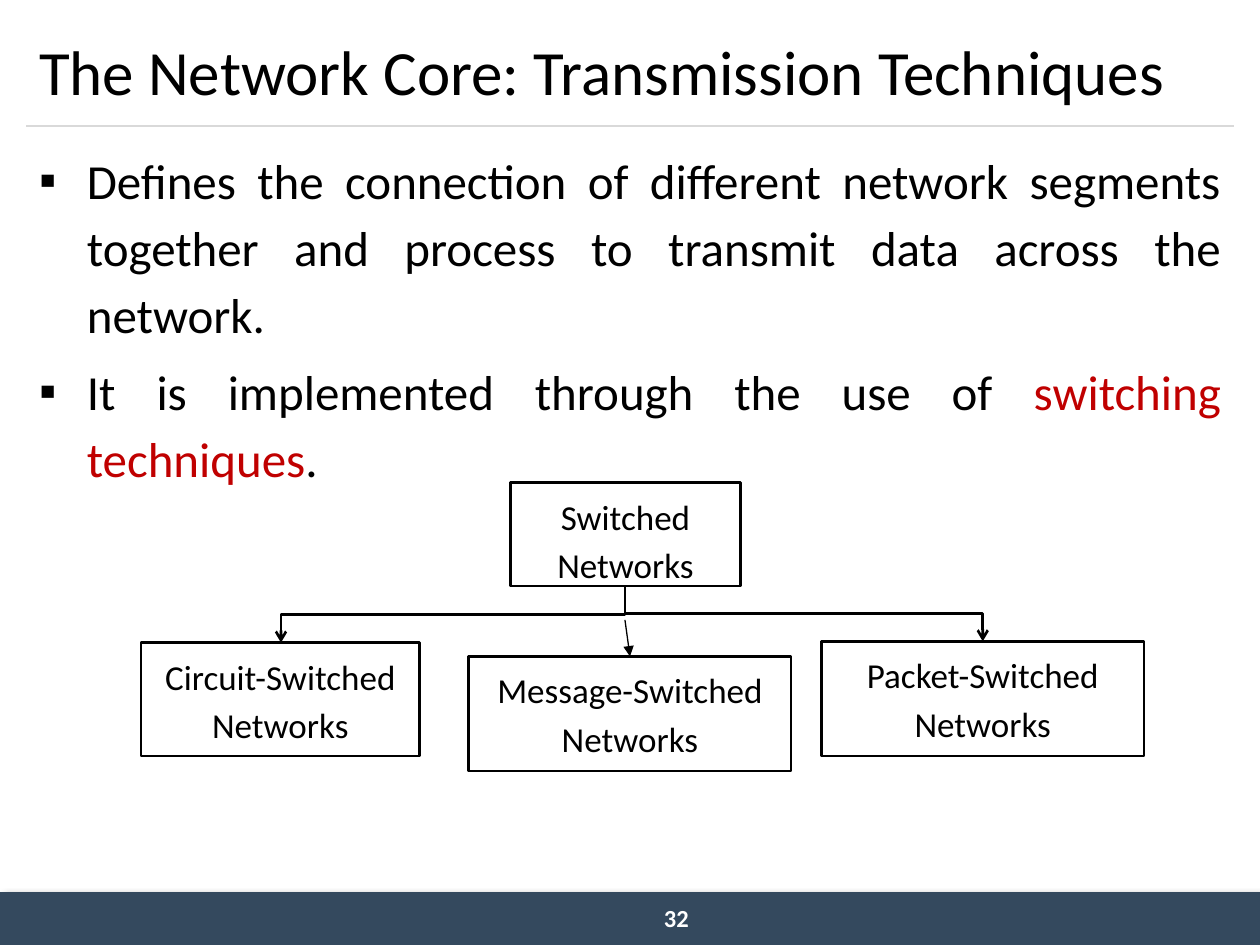
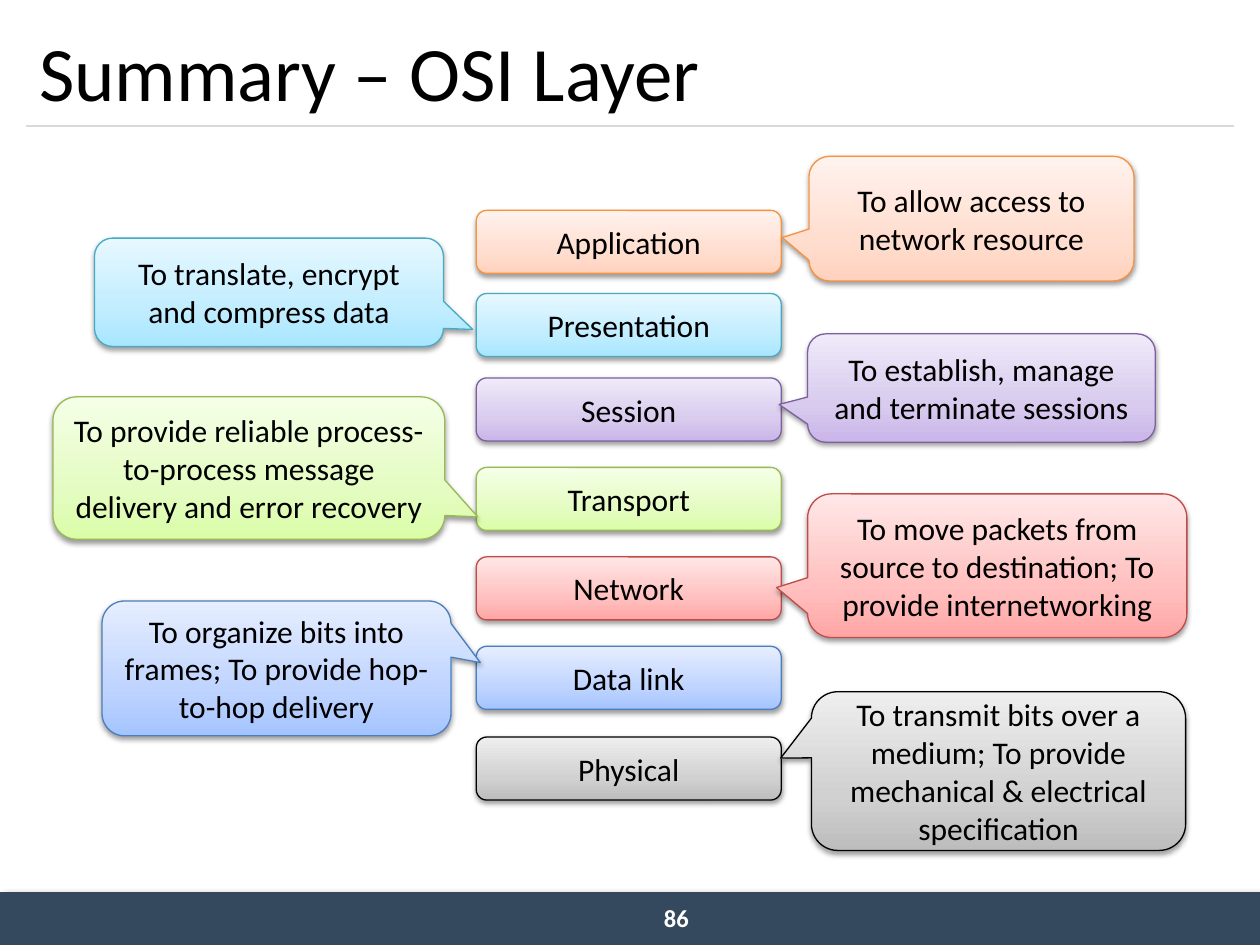
"""Build two lecture slides on switched networks and the OSI layers."""
from copy import deepcopy

from lxml import etree
from pptx import Presentation
from pptx.dml import color as dml
from pptx.enum import shapes, text
from pptx.oxml import ns
from pptx.util import Inches, Pt

COLORS = {
    "ink": "000000", "paper": "FFFFFF", "band": "34495E",
    "rule": "D9D9D9", "accent": "C00000",
}
BAND_SHADOW = dict(alpha=40, blur=4, dist=3, angle=45)
SOFT_SHADOW = dict(alpha=38, blur=3.1, dist=1.6, angle=90)
rgb = dml.RGBColor.from_string
Shape, Align, Anchor = shapes.MSO_SHAPE, text.PP_ALIGN, text.MSO_ANCHOR
Connector = shapes.MSO_CONNECTOR


def write(shape, content, size, color="ink", bold=False, align=Align.LEFT,
          anchor=Anchor.TOP, spacing=None, accent=None, bullet=None, gap=0):
    """Fill a shape with one paragraph per line, colouring the accent phrase."""
    frame = shape.text_frame
    frame.word_wrap = True
    frame.auto_size = text.MSO_AUTO_SIZE.NONE
    frame.vertical_anchor = anchor
    for index, line in enumerate(content.split("\n")):
        paragraph = frame.add_paragraph() if index else frame.paragraphs[0]
        if bullet:
            props = paragraph._p.get_or_add_pPr()
            props.set("marL", str(Inches(0.38)))
            props.set("indent", str(-Inches(0.38)))
            etree.SubElement(props, ns.qn("a:buFont"), typeface="Arial")
            etree.SubElement(props, ns.qn("a:buChar"), char=bullet)
        paragraph.alignment = align
        paragraph.line_spacing = spacing
        paragraph.space_before = Pt(gap if index else 0)
        parts = line.partition(accent) if accent else [line]
        for part in filter(None, parts):
            run = paragraph.add_run()
            run.text = part
            run.font.name, run.font.size, run.font.bold = "Calibri", Pt(size), bold
            run.font.color.rgb = rgb(COLORS["accent" if part == accent else color])


def draw(slide, preset, at, fill, line=None, width=0.75, shadow=None):
    """Add a preset shape with a solid or three-stop gradient fill."""
    shape = slide.shapes.add_shape(preset, *map(Inches, at))
    if isinstance(fill, str):
        shape.fill.solid()
        shape.fill.fore_color.rgb = rgb(fill)
    else:
        shape.fill.gradient()
        shape.fill.gradient_angle = 90
        stops = shape._element.spPr.find(".//" + ns.qn("a:gsLst"))
        stops.insert(1, deepcopy(stops[0]))
        for stop, position, shade in zip(shape.fill.gradient_stops, (0, 0.35, 1), fill):
            stop.position = position
            stop.color.rgb = rgb(shade)
    if line:
        shape.line.color.rgb = rgb(line)
        shape.line.width = Pt(width)
    else:
        shape.line.fill.background()
    shape.shadow.inherit = False
    if shadow:
        effects = shape._element.spPr.find(ns.qn("a:effectLst"))
        outer = etree.SubElement(
            effects, ns.qn("a:outerShdw"), blurRad=str(Pt(shadow["blur"])),
            dist=str(Pt(shadow["dist"])), dir=str(shadow["angle"] * 60000),
            algn="ctr", rotWithShape="0")
        tint = etree.SubElement(outer, ns.qn("a:srgbClr"), val=COLORS["ink"])
        etree.SubElement(tint, ns.qn("a:alpha"), val=str(shadow["alpha"] * 1000))
    return shape


deck = Presentation()
deck.slide_width, deck.slide_height = Inches(10), Inches(7.5)

pages = []
for layout, heading, size, number in [
    (1, "The Network Core: Transmission Techniques", 36, "32"),
    (5, "Summary – OSI Layer", 44, "86"),
]:
    page = deck.slides.add_slide(deck.slide_layouts[layout])
    pages.append(page)
    draw(page, Shape.RECTANGLE, (0, 7.08, 10, 0.42), COLORS["band"], shadow=BAND_SHADOW)
    rule = page.shapes.add_connector(
        Connector.STRAIGHT, *map(Inches, (0.21, 1, 9.79, 1)))
    rule.line.color.rgb = rgb(COLORS["rule"])
    rule.line.width = Pt(0.75)
    etree.SubElement(rule._element.spPr, ns.qn("a:effectLst"))
    page_number = page.shapes.add_textbox(*map(Inches, (5.17, 7.12, 0.58, 0.34)))
    write(page_number, number, 14, color="paper", bold=True)
    title = page.shapes.title
    title.left, title.top, title.width, title.height = map(Inches, (0.21, 0.12, 9.58, 0.88))
    write(title, heading, size, anchor=Anchor.MIDDLE)

switching, osi = pages

definition = switching.placeholders[1]
definition.left, definition.top, definition.width, definition.height = map(
    Inches, (0.21, 1.08, 9.58, 5.83))
write(definition,
      "Defines the connection of different network segments together and process "
      "to transmit data across the network.\n"
      "It is implemented through the use of switching techniques.",
      28, align=Align.JUSTIFY, spacing=1.14, accent="switching techniques",
      bullet="▪", gap=5.6)

for kind, at in [
    ("Switched", (4.05, 3.83, 1.83, 0.82)),
    ("Packet-Switched", (6.52, 5.09, 2.56, 0.91)),
    ("Circuit-Switched", (1.12, 5.1, 2.21, 0.9)),
    ("Message-Switched", (3.72, 5.21, 2.56, 0.91)),
]:
    network = draw(switching, Shape.RECTANGLE, at, COLORS["paper"], COLORS["ink"], 1.5)
    write(network, kind + "\nNetworks", 20, align=Align.CENTER, spacing=1.15)

for x1, y1, x2, y2, side, width, head in [
    (4.96, 4.65, 7.8, 5.09, 1, 1.5, "arrow"),
    (4.96, 4.65, 2.23, 5.1, -1, 1.5, "arrow"),
    (4.96, 4.92, 5, 5.21, 0, 0.75, "triangle"),
]:
    route, ends = Connector.STRAIGHT, (x1, y1, x2, y2)
    if side:
        route = Connector.ELBOW
        mid_x, mid_y = (x1 + x2) / 2, (y1 + y2) / 2
        reach, drop = abs(x2 - x1) / 2, side * (y2 - y1) / 2
        ends = (mid_x + drop, mid_y - reach, mid_x - drop, mid_y + reach)
    branch = switching.shapes.add_connector(route, *map(Inches, ends))
    branch.line.color.rgb = rgb(COLORS["ink"])
    branch.line.width = Pt(width)
    etree.SubElement(branch.line._get_or_add_ln(), ns.qn("a:tailEnd"), type=head)
    properties = branch._element.spPr
    etree.SubElement(properties, ns.qn("a:effectLst"))
    if side:
        properties.find(ns.qn("a:xfrm")).set("rot", str((180 + 90 * side) * 60000))

LEFT, RIGHT = (0.584, 0.343), (-0.582, 0.152)
for layer, top, line, gradient, role, at, pointer in [
    ("Application", 1.67, "F69240", ("FFD2BD", "FFDED0", "FFF2ED"),
     "To allow access to network resource", (6.42, 1.24, 2.58, 0.99), RIGHT),
    ("Presentation", 2.33, "46AAC5", ("A7E6FF", "C1EDFF", "E7F8FF"),
     "To translate, encrypt and compress data", (0.75, 1.89, 2.77, 0.86), LEFT),
    ("Session", 3, "7D60A0", ("C9B5E8", "D8CBEE", "F0EAF9"),
     "To establish, manage and terminate sessions", (6.41, 2.65, 2.76, 0.86), RIGHT),
    ("Transport", 3.71, "98B955", ("DAFDA7", "E4FCC2", "F5FFE7"),
     "To provide reliable process-to-process message delivery and error recovery",
     (0.42, 3.15, 3.11, 1.13), LEFT),
    ("Network", 4.42, "BF4C48", ("FFA6A5", "FFC0BF", "FFE7E7"),
     "To move packets from source to destination; To provide internetworking",
     (6.41, 3.92, 3.01, 1.14), RIGHT),
    ("Data link", 5.13, "4B7EBC", ("A4C4FF", "BFD4FF", "E6EEFF"),
     "To organize bits into frames; To provide hop-to-hop delivery",
     (0.81, 4.77, 2.77, 1.07), (0.584, -0.043)),
    ("Physical", 5.85, "000000", ("BDBDBD", "D1D1D1", "EEEEEE"),
     "To transmit bits over a medium; To provide mechanical & electrical specification",
     (6.44, 5.49, 2.97, 1.26), (-0.582, -0.082)),
]:
    bar = draw(osi, Shape.ROUNDED_RECTANGLE, (3.78, top, 2.42, 0.5), gradient, line,
               shadow=SOFT_SHADOW)
    callout = draw(osi, Shape.ROUNDED_RECTANGULAR_CALLOUT, at, gradient, line,
                   shadow=SOFT_SHADOW)
    callout.adjustments[0], callout.adjustments[1] = pointer
    for shape, words in ((bar, layer), (callout, role)):
        write(shape, words, 18, align=Align.CENTER, anchor=Anchor.MIDDLE)

deck.save("out.pptx")
